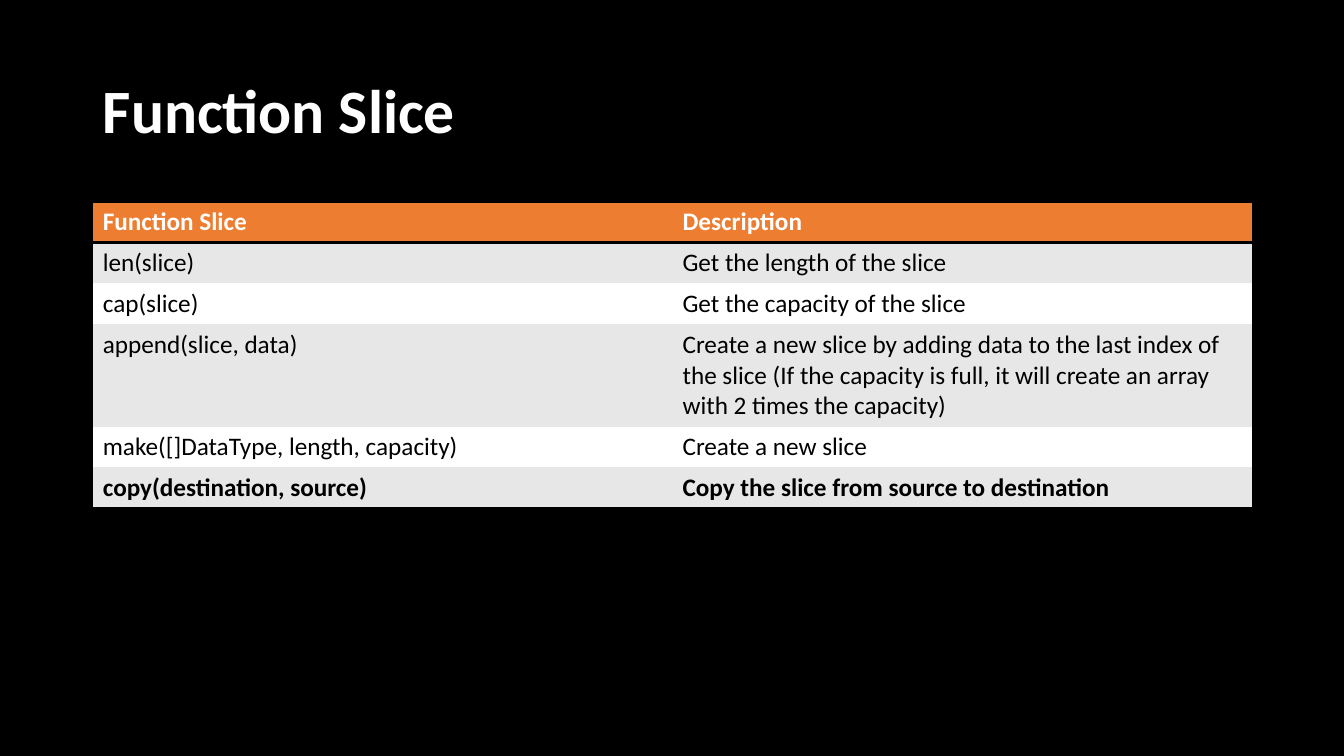
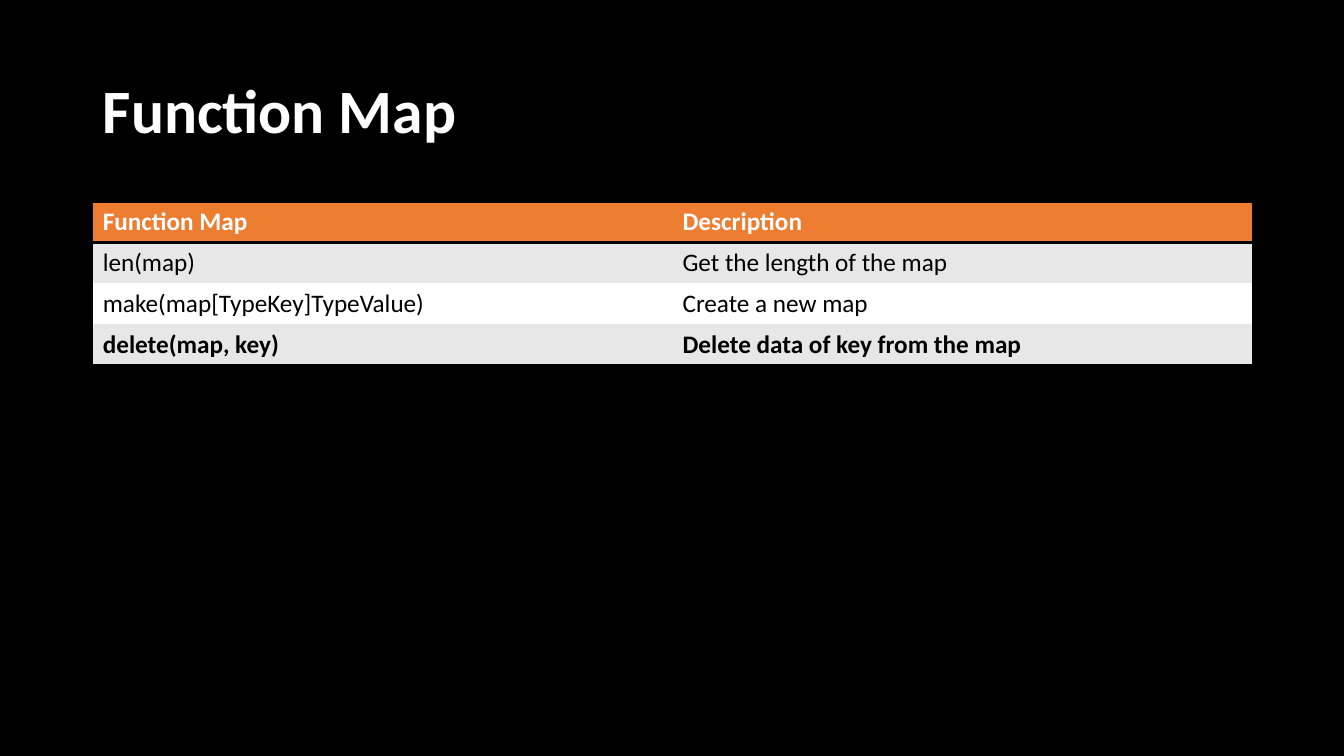
from lxml import etree
from pptx import Presentation
from pptx import util as u
from pptx.dml.color import RGBColor
from pptx.enum import text
from pptx.oxml import ns

# Shared style
COLORS = {
    "black": "000000",
    "white": "FFFFFF",
    "header": "ED7D31",
    "band": "E7E7E7",
}
FONT = "Calibri"
TITLE_SIZE, CELL_SIZE = 44, 18
BORDER_WIDTH = 2
PLAIN_TABLE_STYLE = "{2D5ABB26-0587-4C30-8999-92F81FD0307C}"

# Slide grid in inches: left, top, width, height
WIDTH, HEIGHT = 13.33, 7.5
MARGIN = 0.92
CONTENT_WIDTH = 11.5
TITLE_BOX = (MARGIN, 0.4, CONTENT_WIDTH, 1.45)
TABLE_BOX = (MARGIN, 2, CONTENT_WIDTH)
LINE_HEIGHT, CELL_PADDING = 0.3, 0.1
CHARACTERS_PER_LINE = 54

TABLES = {
    "Function Slice": [
        ("len(slice)", "Get the length of the slice"),
        ("cap(slice)", "Get the capacity of the slice"),
        ("append(slice, data)",
         "Create a new slice by adding data to the last index of the slice "
         "(If the capacity is full, it will create an array with 2 times the capacity)"),
        ("make([]DataType, length, capacity)", "Create a new slice"),
        ("copy(destination, source)", "Copy the slice from source to destination"),
    ],
    "Function Map": [
        ("len(map)", "Get the length of the map"),
        ("make(map[TypeKey]TypeValue)", "Create a new map"),
        ("delete(map, key)", "Delete data of key from the map"),
    ],
}


def color(name):
    return RGBColor.from_string(COLORS[name])


def add_span(para, words, size, ink, bold):
    span = para.add_run()
    span.text = words
    span.font.name = FONT
    span.font.size = u.Pt(size)
    span.font.bold = bold
    span.font.color.rgb = color(ink)


def add_border(cell, side):
    """Draw a black line on one side ("T" or "B") of a cell."""
    properties = cell._tc.get_or_add_tcPr()
    line = etree.SubElement(properties, ns.qn("a:ln" + side), w=str(u.Pt(BORDER_WIDTH)))
    fill = etree.SubElement(line, ns.qn("a:solidFill"))
    etree.SubElement(fill, ns.qn("a:srgbClr"), val=COLORS["black"])


def place_title(page, words, box):
    title = page.shapes.title
    title.left, title.top, title.width, title.height = map(u.Inches, box)
    frame = title.text_frame
    frame.auto_size = text.MSO_AUTO_SIZE.NONE
    frame.vertical_anchor = text.MSO_ANCHOR.MIDDLE
    para = frame.paragraphs[0]
    para.alignment = text.PP_ALIGN.LEFT
    para.line_spacing = 0.9
    add_span(para, words, TITLE_SIZE, "white", True)


def place_table(page, rows, box):
    """Header row, banded body and a bold last row, in equal columns."""
    left, top, width = box
    last = len(rows) - 1
    heights = [CELL_PADDING + LINE_HEIGHT * max(-(-len(words) // CHARACTERS_PER_LINE) for words in row)
               for row in rows]
    table = page.shapes.add_table(
        len(rows), len(rows[0]), u.Inches(left), u.Inches(top),
        u.Inches(width), u.Inches(sum(heights))).table
    table._tbl.tblPr.find(ns.qn("a:tableStyleId")).text = PLAIN_TABLE_STYLE
    for column in table.columns:
        column.width = u.Inches(width / len(rows[0]))

    for index, row in enumerate(rows):
        table.rows[index].height = u.Inches(heights[index])
        is_header = index == 0
        fill = "header" if is_header else "band" if index % 2 else "white"
        sides = "TB" if is_header else "B" if index == last else ""
        for number, words in enumerate(row):
            cell = table.cell(index, number)
            for side in sides:
                add_border(cell, side)
            cell.fill.solid()
            cell.fill.fore_color.rgb = color(fill)
            add_span(cell.text_frame.paragraphs[0], words, CELL_SIZE,
                     "white" if is_header else "black", index in (0, last))


def add_function_page(deck, name, functions):
    page = deck.slides.add_slide(deck.slide_layouts.get_by_name("Title Only"))
    place_title(page, name, TITLE_BOX)
    place_table(page, [(name, "Description"), *functions], TABLE_BOX)


def main():
    deck = Presentation()
    deck.slide_width, deck.slide_height = u.Inches(WIDTH), u.Inches(HEIGHT)
    background = deck.slide_master.background.fill
    background.solid()
    background.fore_color.rgb = color("black")
    for name, functions in TABLES.items():
        add_function_page(deck, name, functions)
    deck.save("out.pptx")


if __name__ == "__main__":
    main()
